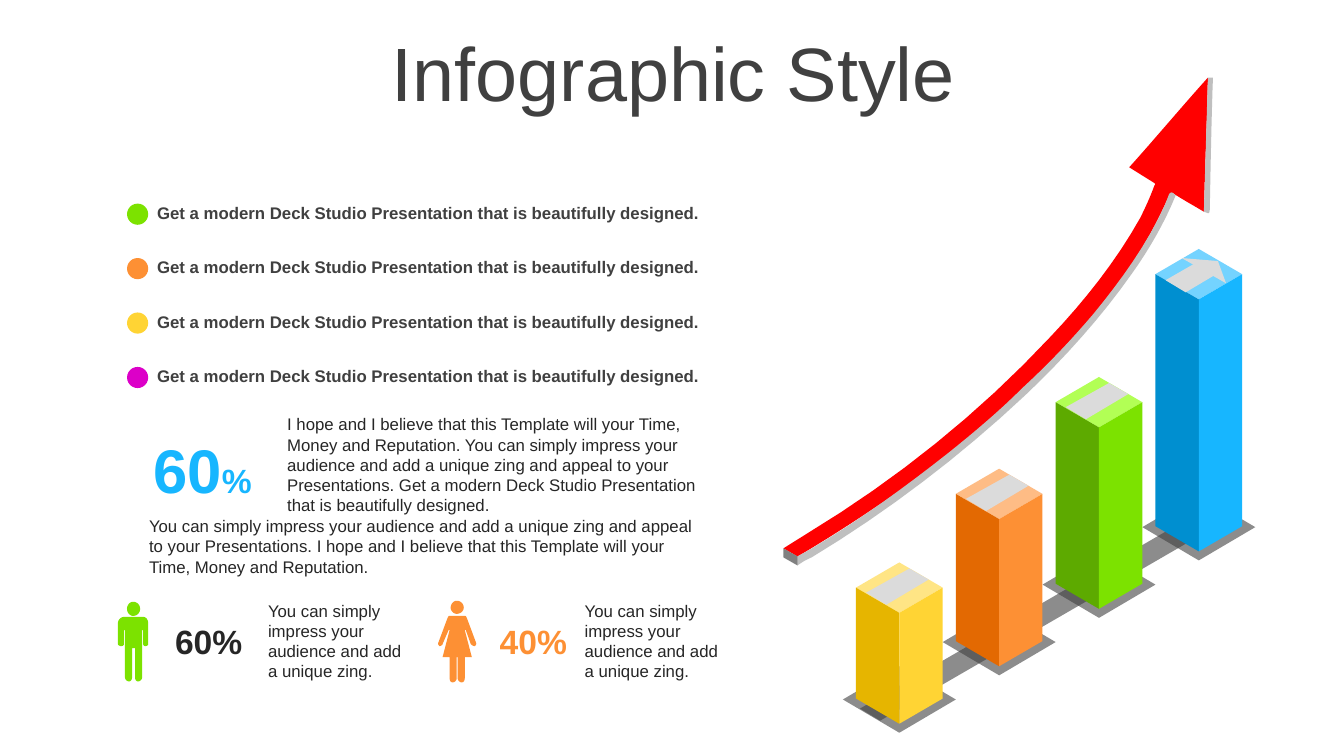
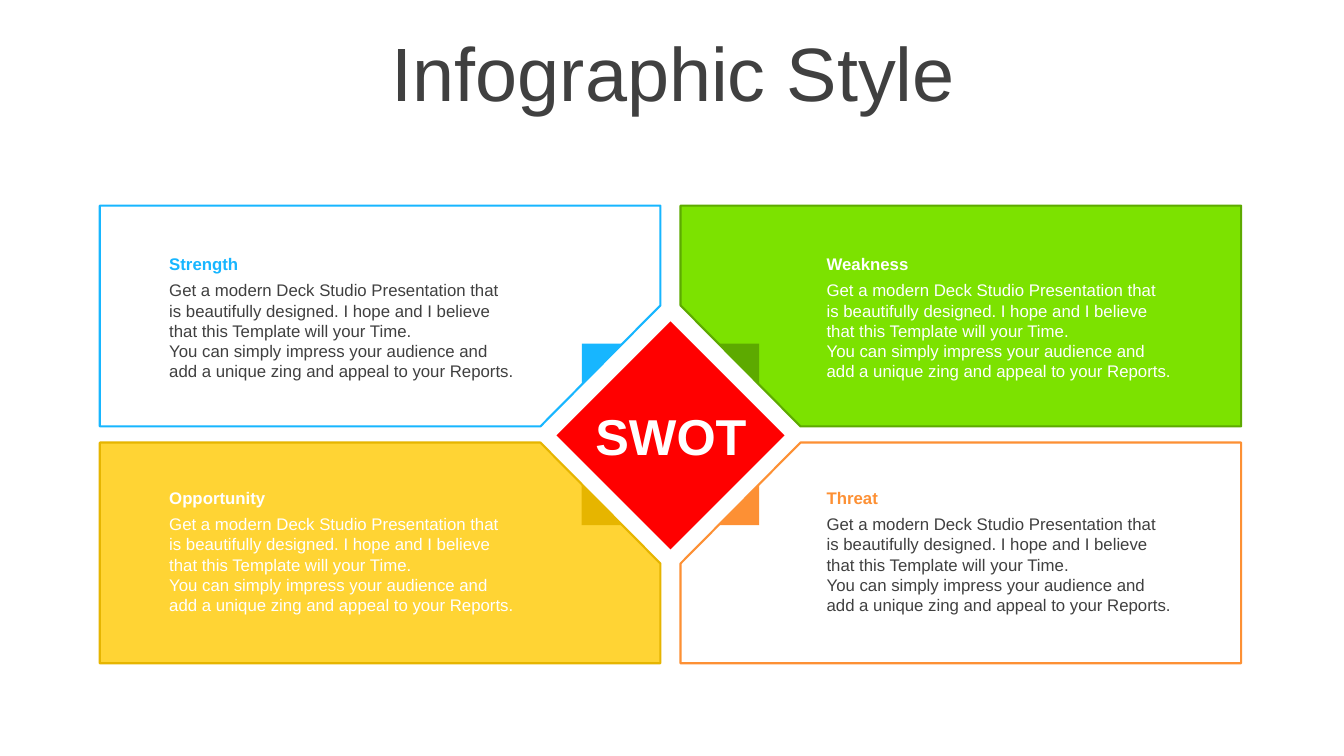
"""Builds two infographic slides: a rising column scene and a SWOT board."""
from lxml.etree import SubElement
from pptx import Presentation
from pptx.dml.color import RGBColor
from pptx.enum.shapes import MSO_SHAPE
from pptx.enum.text import MSO_ANCHOR, PP_ALIGN
from pptx.oxml.ns import qn
from pptx.util import Emu, Pt

SCALE = 9144
FONT = "Arial"
WIDE, HIGH = 1333, 750
INK = {
    "white": "FFFFFF", "dark": "404040", "text": "262626", "red": "FF0000",
    "edge": "BFBFBF", "tail": "808080", "stripe": "DBDBDB", "pink": "DC00C8",
    "blue": "17B6FF", "blue dim": "008FD0", "blue lit": "74D3FF",
    "green": "7CE200", "green dim": "5DAA00", "green lit": "B2FF55",
    "orange": "FD9034", "orange dim": "E36902", "orange lit": "FEBC85",
    "yellow": "FFD434", "yellow dim": "E6B500", "yellow lit": "FFE585",
}

TITLE = "Infographic Style"
POINT = "Get a modern Deck Studio Presentation that is beautifully designed."
HOPE = "I hope and I believe that this Template will your Time"
ZING = "You can simply impress your audience and add a unique zing"
SHORT = ZING + "."
LEAD = f"{HOPE}, Money and Reputation. {ZING} and appeal to your Presentations. {POINT}"
MORE = f"{ZING} and appeal to your Presentations. {HOPE}, Money and Reputation."
PANEL = (f"{POINT} {HOPE}.", f"{ZING} and appeal to your Reports.")

DOTS = ["green", "orange", "yellow", "pink"]
BARS = [("yellow", 558), ("orange", 465), ("green", 374), ("blue", 247)]
ROAD = [(1227, 510), (873, 715), (853, 703), (1207, 498)]
BAND = [(29, 17), (-13, 42), (-33, 30), (10, 6)]
SHAFT = [(19, 24), (-13, 43), (-33, 31), (0, 12)]
POINTER = [(19, 12), (27, 34), (-17, 9)]

ARROW = [
    ("red", "M 777 544 C 785 539 793 534 801 529 890 475 971 410 1042 334"
            " 1076 298 1107 259 1131 216 1136 206 1141 195 1145 184"
            " 1146 183 1146 182 1144 181 1136 176 1128 171 1120 166"
            " 1146 137 1172 106 1198 77 1198 92 1195 175 1194 210"
            " 1184 204 1173 198 1164 192 1162 191 1161 191 1159 195"
            " 1148 220 1134 246 1118 269 1105 286 1092 304 1078 320"
            " 1070 329 1040 361 1033 368 1015 386 996 403 977 420"
            " 952 442 926 462 899 482 869 504 809 542 791 552 L 777 544"),
    ("edge", "M 791 552 C 798 548 802 546 807 543 854 515 898 483 941 449"
             " 966 429 991 408 1014 385 1039 362 1062 338 1084 312"
             " 1112 278 1138 242 1156 202 1157 199 1158 197 1159 194"
             " 1160 191 1162 190 1164 192 L 1166 194"
             " C 1155 221 1140 247 1123 271 1092 315 1056 355 1017 392"
             " 952 453 881 507 805 553 800 555 795 558 791 561"),
    ("edge", "M 1194 210 L 1198 77 1203 77"
             " C 1202 100 1200 189 1200 207 1199 213 1200 212 1194 210"),
    ("tail", "M 791 561 L 777 553 777 544 791 552"),
]
MAN = ("M 142 612 L 123 612 C 120 612 117 615 117 618 L 117 639"
       " C 117 640 119 641 120 641 122 641 123 640 123 639 L 123 625 124 625 124 672"
       " C 124 674 126 676 128 676 130 676 131 674 131 672 L 131 643 134 643 134 672"
       " C 134 674 135 676 137 676 139 676 141 674 141 672 L 141 625 142 625 142 639"
       " C 142 640 143 641 144 641 146 641 147 640 147 639 L 147 618"
       " C 147 615 145 612 142 612"
       " M 132 597 C 129 597 126 600 126 604 126 608 129 611 132 611"
       " 136 611 139 608 139 604 139 600 136 597 132 597")
WOMAN = ("M 447 611 L 460 611 C 462 611 462 611 463 613 L 472 637"
         " C 473 639 472 640 471 641 469 641 468 640 467 639"
         " L 462 625 461 625 468 652 461 652 461 673"
         " C 461 675 460 677 458 677 456 677 454 675 454 673 L 454 652 453 652 453 673"
         " C 453 675 451 677 449 677 447 677 446 675 446 673"
         " L 446 652 439 652 446 625 445 625 439 639"
         " C 439 640 437 641 436 641 435 640 434 639 435 637 L 444 613"
         " C 445 611 445 611 447 611"
         " M 453 596 C 457 596 460 599 460 603 460 606 457 609 453 609"
         " 450 609 447 606 447 603 447 599 450 596 453 596")
PEOPLE = [(MAN, "green", "60%", "text", 156, 256),
          (WOMAN, "orange", "40%", "orange", 478, 570)]

MID = (665, 431)
SWOT = [
    ("Strength", -1, -1, None, "blue", "blue", "dark", 90),
    ("Weakness", 1, -1, "green", "green dim", "white", "white", 180),
    ("Opportunity", -1, 1, "yellow", "yellow dim", "white", "white", 0),
    ("Threat", 1, 1, None, "orange", "orange", "dark", 270),
]
NOTCH = [(566, 227), (10, 227), (10, 128), (129, 8), (566, 8)]


def px(num):
    return Emu(round(num * SCALE))


def tint(name):
    return RGBColor.from_string(INK[name])


def paint(shape, fill, line=None, alpha=None):
    shape.shadow.inherit = False
    if fill:
        shape.fill.solid()
        shape.fill.fore_color.rgb = tint(fill)
    else:
        shape.fill.background()
    if line:
        shape.line.color.rgb = tint(line)
        shape.line.width = Pt(1.5)
    else:
        shape.line.fill.background()
    if alpha:
        color = shape._element.spPr.find(".//" + qn("a:srgbClr"))
        SubElement(color, qn("a:alpha")).set("val", str(alpha * 1000))


def stamp(slide, kind, box, fill, angle=0):
    shape = slide.shapes.add_shape(kind, *map(px, box))
    shape.rotation = angle
    paint(shape, fill)


def draw(slide, loops, fill, **look):
    pen = None
    for loop in loops:
        dots = [(px(x), px(y)) for x, y in loop]
        if pen is None:
            pen = slide.shapes.build_freeform(*dots[0], scale=1.0)
        else:
            pen.move_to(*dots[0])
        pen.add_line_segments(dots[1:], close=True)
    paint(pen.convert_to_shape(), fill, **look)


def trace(path, steps=8):
    loops, kind, nums = [], "", []
    for word in path.split():
        if word.isalpha():
            kind = word
            continue
        nums.append(int(word))
        if len(nums) < (6 if kind == "C" else 2):
            continue
        if kind == "M":
            loops.append([tuple(nums)])
        elif kind == "L":
            loops[-1].append(tuple(nums))
        else:
            start = loops[-1][-1]
            for step in range(1, steps + 1):
                t = step / steps
                u = 1 - t
                loops[-1].append(tuple(
                    u ** 3 * start[i] + 3 * u * u * t * nums[i]
                    + 3 * u * t * t * nums[i + 2] + t ** 3 * nums[i + 4]
                    for i in (0, 1)))
        nums = []
    return loops


def shift(dots, x, y):
    return [(x + a, y + b) for a, b in dots]


def rhomb(x, y, half, rise):
    return shift([(half, 0), (0, rise), (-half, 0), (0, -rise)], x, y)


def write(slide, box, *lines, size=12, color="text", bold=False,
          center=False, middle=False, space=None):
    frame = slide.shapes.add_textbox(*map(px, box)).text_frame
    frame.word_wrap = True
    frame.vertical_anchor = MSO_ANCHOR.MIDDLE if middle else MSO_ANCHOR.TOP
    for i, line in enumerate(lines):
        para = frame.add_paragraph() if i else frame.paragraphs[0]
        para.alignment = PP_ALIGN.CENTER if center else PP_ALIGN.LEFT
        if space:
            para.line_spacing = space
        for words, points in [(line, size)] if isinstance(line, str) else line:
            run = para.add_run()
            run.text = words
            run.font.name = FONT
            run.font.size = Pt(points)
            run.font.bold = bold
            run.font.color.rgb = tint(color)


def start(deck):
    slide = deck.slides.add_slide(deck.slide_layouts[6])
    write(slide, (35, 37, 1266, 79), TITLE, size=54, color="dark",
          center=True, middle=True, space=0.9)
    return slide


def column(slide, x, top, base, hue):
    left, right, front = (x - 43, top + 25), (x + 43, top + 25), (x, top + 50)
    draw(slide, [rhomb(x, top + 25, 43, 25)], hue + " lit")
    for side, fill in ((left, hue + " dim"), (right, hue)):
        draw(slide, [[side, front, (x, base), (side[0], base - 25)]], fill)
    for part in [SHAFT, POINTER] if hue == "blue" else [BAND]:
        draw(slide, [shift(part, x, top)], "stripe")


def growth(deck):
    slide = start(deck)
    spots = [(892 + 99 * i, 718 - 57 * i) for i in range(len(BARS))]
    for x, base in spots:
        draw(slide, [rhomb(x, base - 24, 56, 33)], "dark", alpha=60)
    draw(slide, [ROAD], "dark", alpha=60)
    for fill, path in ARROW:
        draw(slide, trace(path), fill)
    for (hue, top), (x, base) in zip(BARS, spots):
        column(slide, x, top, base, hue)
    for i, hue in enumerate(DOTS):
        stamp(slide, MSO_SHAPE.OVAL, (126, 202 + 54 * i, 21, 21), hue)
        write(slide, (146, 196 + 54 * i, 564, 30), POINT, color="dark", bold=True)
    write(slide, (126, 423, 150, 84), [("60", 44), ("%", 24)], color="blue",
          bold=True, center=True, middle=True)
    write(slide, (138, 507, 566, 71), MORE)
    write(slide, (275, 406, 447, 111), LEAD)
    for path, hue, share, color, x, side in PEOPLE:
        draw(slide, trace(path), hue)
        write(slide, (x, 611, 102, 50), share, size=24, color=color,
              bold=True, center=True, middle=True)
        write(slide, (side, 591, 162, 91), SHORT)


def board(deck):
    slide = start(deck)
    x, y = MID
    for name, h, v, fill, line, head, body, angle in SWOT:
        draw(slide, [[(x + h * a, y + v * b) for a, b in NOTCH]], fill, line=line)
        stamp(slide, MSO_SHAPE.RIGHT_TRIANGLE,
              (x + 68 * h - 20, y + 70 * v - 20, 40, 40), line, angle)
        left, top = 484 + 326 * h, 363 + 116 * v
        write(slide, (left, top, 362, 30), name, color=head, bold=True, middle=True)
        write(slide, (left, top + 26, 362, 111), *PANEL, color=body)
    stamp(slide, MSO_SHAPE.RECTANGLE, (x - 80, y - 79, 160, 160), "red", 45)
    write(slide, (x - 87, y - 35, 175, 71), "SWOT", size=36, color="white",
          bold=True, center=True, middle=True)


def main():
    deck = Presentation()
    deck.slide_width, deck.slide_height = px(WIDE), px(HIGH)
    growth(deck)
    board(deck)
    deck.save("out.pptx")


if __name__ == "__main__":
    main()
